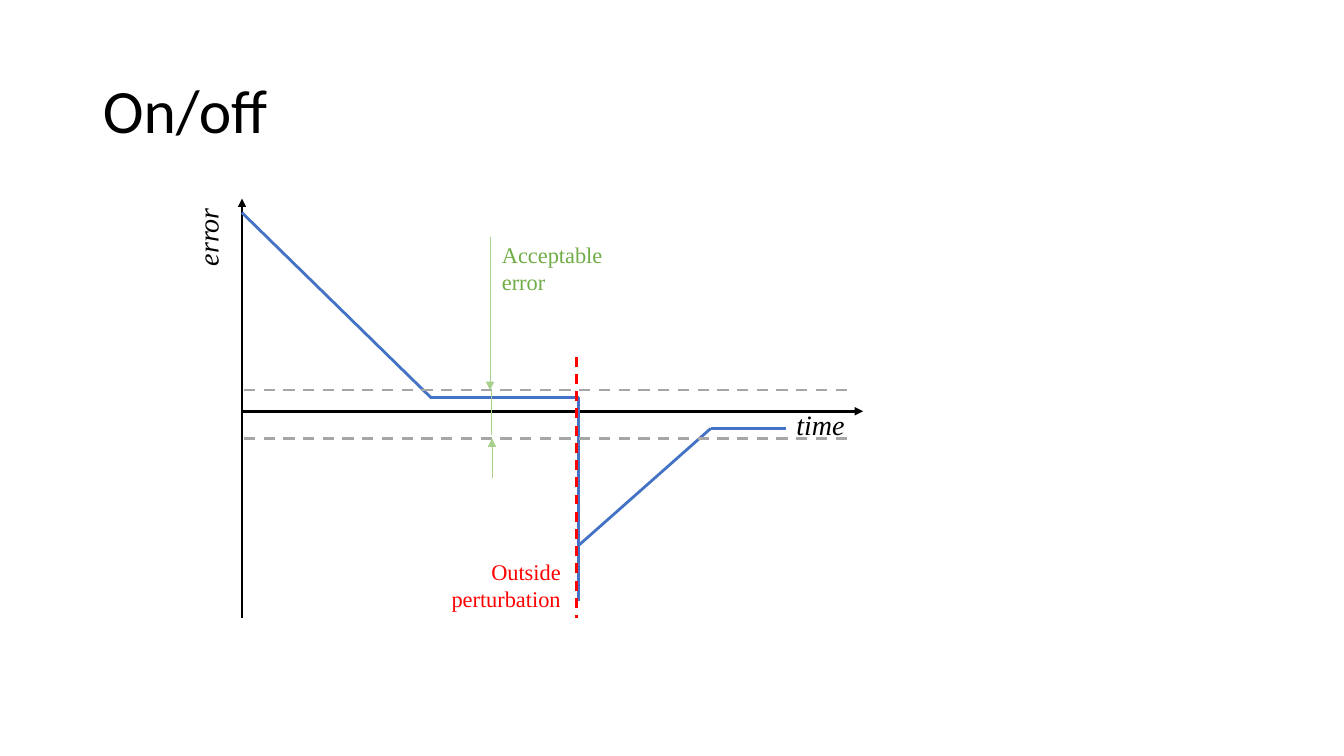
from lxml import etree
from pptx import Presentation
from pptx.dml.color import RGBColor
from pptx.enum import dml, shapes, text
from pptx.oxml import ns
from pptx.util import Inches, Pt

BLACK = RGBColor(0x00, 0x00, 0x00)
BLUE = RGBColor(0x44, 0x72, 0xC4)
GRAY = RGBColor(0xA6, 0xA6, 0xA6)
GREEN = RGBColor(0x70, 0xAD, 0x47)
PALE_GREEN = RGBColor(0xA9, 0xD1, 0x8E)
RED = RGBColor(0xFF, 0x00, 0x00)


def format_paragraph(paragraph, font_name, size, color, italic=False, align=text.PP_ALIGN.LEFT):
    paragraph.alignment = align
    font = paragraph.font
    font.name, font.size, font.italic = font_name, Pt(size), italic
    font.color.rgb = color


def add_line(slide, box, start, end, color, width=2, dashed=False, arrow=False):
    left, top = box[:2]
    line = slide.shapes.add_connector(
        shapes.MSO_CONNECTOR.STRAIGHT,
        Inches(left + start[0]), Inches(top + start[1]),
        Inches(left + end[0]), Inches(top + end[1]))
    line.line.color.rgb = color
    line.line.width = Pt(width)
    if dashed:
        line.line.dash_style = dml.MSO_LINE.DASH
    if arrow:
        tail = etree.SubElement(line.line._get_or_add_ln(), ns.qn("a:tailEnd"))
        tail.set("type", "triangle")
    properties = line._element.spPr
    etree.SubElement(properties, ns.qn("a:effectLst"))


def add_label(slide, box, place, wording, size, color, wrap=True, rotation=0, **style):
    left, top, width, height = place
    label = slide.shapes.add_textbox(
        Inches(box[0] + left), Inches(box[1] + top), Inches(width), Inches(height))
    label.rotation = rotation
    frame = label.text_frame
    frame.word_wrap = wrap
    frame.auto_size = text.MSO_AUTO_SIZE.SHAPE_TO_FIT_TEXT
    frame.text = wording
    format_paragraph(frame.paragraphs[0], "Times New Roman", size, color, **style)


def add_heading(slide, box, wording):
    heading = slide.shapes.title
    heading.left, heading.top, heading.width, heading.height = map(Inches, box)
    frame = heading.text_frame
    frame.text = wording
    frame.vertical_anchor = text.MSO_ANCHOR.MIDDLE
    paragraph = frame.paragraphs[0]
    paragraph.line_spacing = 0.9
    format_paragraph(paragraph, "Calibri", 44, BLACK)


def add_error_plot(slide, box):
    width, height = box[2:]
    zero, upper, lower = 2.11, 1.9, 2.38
    settled, recovered = 1.97, 2.28
    perturbation = 3.34

    add_line(slide, box, (0, height), (0, 0), BLACK, arrow=True)
    add_line(slide, box, (0, zero), (width, zero), BLACK, arrow=True)
    add_label(slide, box, (-0.73, 0.16, 0.78, 0.44), "error", 20, BLACK,
              wrap=False, rotation=270, italic=True)
    add_label(slide, box, (5.4, 2.02, 0.68, 0.44), "time", 20, BLACK,
              wrap=False, italic=True)

    response = [
        ((0, 0.14), (1.88, 1.98)),
        ((1.86, settled), (perturbation, settled)),
        ((perturbation, settled), (perturbation, 3.99)),
        ((perturbation, 3.44), (4.65, recovered)),
        ((4.65, recovered), (5.4, recovered)),
    ]
    for start, end in response:
        add_line(slide, box, start, end, BLUE)
    for limit in (upper, lower):
        add_line(slide, box, (6, limit), (0, limit), GRAY, dashed=True)

    add_label(slide, box, (2.48, 0.37, 1.26, 0.64), "Acceptable error", 16, GREEN)
    add_line(slide, box, (2.46, 0.38), (2.46, upper), PALE_GREEN, 0.5, arrow=True)
    add_line(slide, box, (2.48, 2.77), (2.48, lower), PALE_GREEN, 0.5, arrow=True)
    add_line(slide, box, (2.47, upper), (2.47, 2.35), PALE_GREEN, 0.5)

    add_label(slide, box, (1.88, 3.52, 1.38, 0.64), "Outside perturbation", 16, RED,
              align=text.PP_ALIGN.RIGHT)
    add_line(slide, box, (3.32, 1.57), (3.32, height), RED, 1.75, dashed=True)


deck = Presentation()
deck.slide_width, deck.slide_height = Inches(13.33), Inches(7.5)
control_slide = deck.slides.add_slide(deck.slide_layouts[5])
add_heading(control_slide, (0.92, 0.4, 11.5, 1.45), "On/off")
add_error_plot(control_slide, (2.4, 1.97, 6.16, 4.16))
deck.save("out.pptx")
